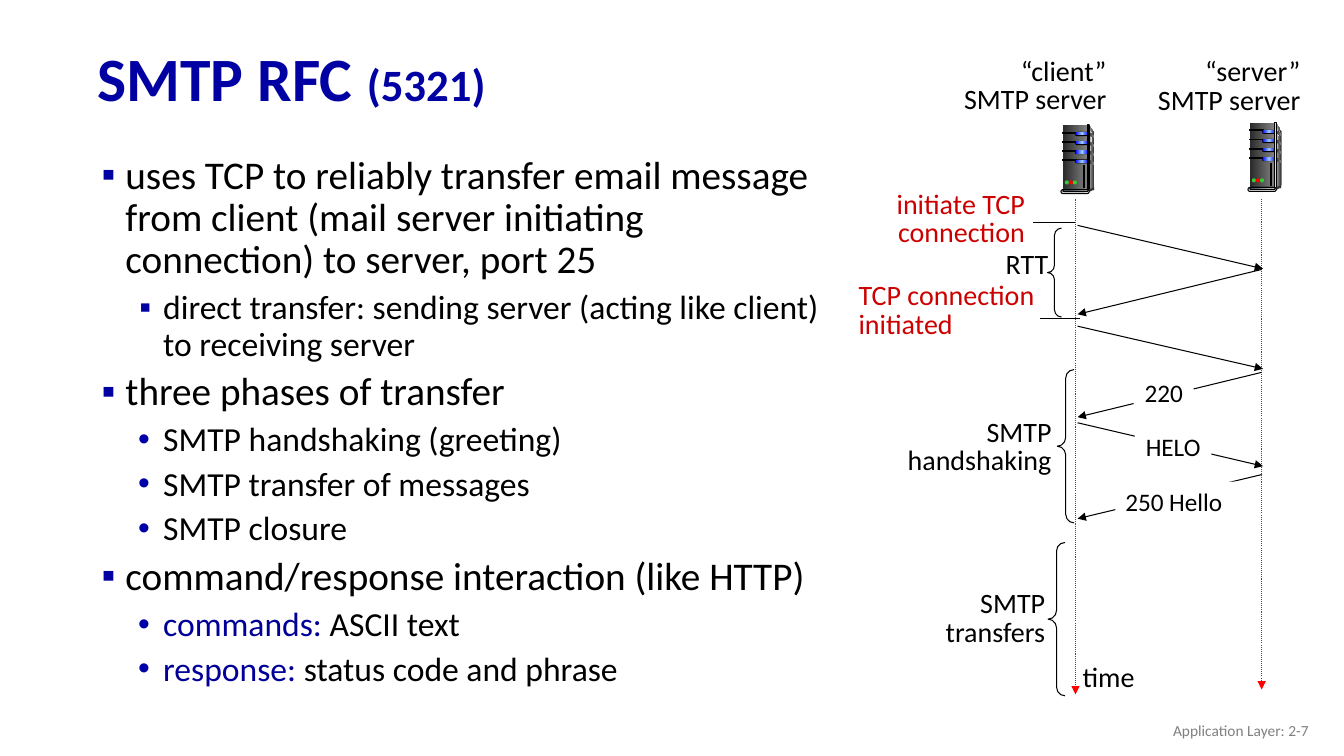
from lxml import etree
from pptx import Presentation
from pptx.dml.color import RGBColor
from pptx.enum.dml import MSO_LINE
from pptx.enum.shapes import MSO_CONNECTOR, MSO_SHAPE
from pptx.enum.text import MSO_ANCHOR, PP_ALIGN
from pptx.oxml.ns import qn
from pptx.util import Pt

RECT, ROUND = MSO_SHAPE.RECTANGLE, MSO_SHAPE.ROUNDED_RECTANGLE
OVAL, BRACE = MSO_SHAPE.OVAL, MSO_SHAPE.LEFT_BRACE
LEFT, MID, RIGHT = PP_ALIGN.LEFT, PP_ALIGN.CENTER, PP_ALIGN.RIGHT
TOP, CENTER = MSO_ANCHOR.TOP, MSO_ANCHOR.MIDDLE
DOTS, STRAIGHT = MSO_LINE.ROUND_DOT, MSO_CONNECTOR.STRAIGHT
FONT = "Calibri"
BLACK, WHITE, RED, NAVY = "000000", "FFFFFF", "CC0000", "0000A3"
DARK, STEEL = "333333", ("292929", "808080")
GLOW = ("0000FF", "99CCFF", "0000FF")


def tint(code):
    """Turn a hex string into a colour."""
    return RGBColor.from_string(code)


def paint(item, fill=None, line=None):
    """Give a shape a plain or graded fill and an optional thin outline."""
    item.shadow.inherit = False
    if fill is None:
        item.fill.background()
    elif isinstance(fill, str):
        item.fill.solid()
        item.fill.fore_color.rgb = tint(fill)
    else:
        item.fill.gradient()
        item.fill.gradient_angle = 0
        stops = item._element.spPr.find(".//" + qn("a:gsLst"))
        stops.clear()
        for i, code in enumerate(fill):
            stop = etree.SubElement(stops, qn("a:gs"), pos=str(100000 * i // (len(fill) - 1)))
            etree.SubElement(stop, qn("a:srgbClr"), val=code)
    if line:
        item.line.color.rgb = tint(line)
        item.line.width = Pt(0.75)
    else:
        item.line.fill.background()


def block(parts, kind, x, y, w, h, fill=None, line=None, adj=None):
    """Add a preset shape."""
    item = parts.add_shape(kind, Pt(x), Pt(y), Pt(w), Pt(h))
    paint(item, fill, line)
    if adj is not None:
        item.adjustments[0] = adj
    return item


def shape(parts, x, y, spots, fill):
    """Add a closed outline whose points are relative to x and y."""
    spots = [(Pt(x + a), Pt(y + b)) for a, b in spots]
    pen = parts.build_freeform(*spots[0])
    pen.add_line_segments(spots[1:], close=True)
    paint(pen.convert_to_shape(), fill)


def line(parts, x1, y1, x2, y2, color=BLACK, head=False, dash=None):
    """Add a thin line, with an arrowhead at its end if asked."""
    item = parts.add_connector(STRAIGHT, Pt(x1), Pt(y1), Pt(x2), Pt(y2))
    item.line.color.rgb = tint(color)
    item.line.width = Pt(0.75)
    if dash:
        item.line.dash_style = dash
    if head:
        etree.SubElement(item.line._get_or_add_ln(), qn("a:tailEnd"), type="triangle")
    etree.SubElement(item._element.spPr, qn("a:effectLst"))


def write(para, text, size, color=BLACK, bold=False):
    """Add one run to a paragraph."""
    run = para.add_run()
    run.text = text
    run.font.name, run.font.size, run.font.bold = FONT, Pt(size), bold
    run.font.color.rgb = tint(color)


def frame(parts, x, y, w, h, wrap=True, anchor=TOP):
    """Add an empty text box and return its text frame."""
    text = parts.add_textbox(Pt(x), Pt(y), Pt(w), Pt(h)).text_frame
    text.word_wrap, text.vertical_anchor = wrap, anchor
    return text


def note(parts, x, y, w, h, rows, align=LEFT, color=BLACK, wrap=False):
    """Add a label of one or more tight rows."""
    text = frame(parts, x, y, w, h, wrap)
    for i, row in enumerate(rows):
        para = text.add_paragraph() if i else text.paragraphs[0]
        para.alignment, para.line_spacing = align, 0.85
        write(para, row, 20, color)


def title(parts, x, y, w, h):
    """Write the slide title."""
    para = frame(parts, x, y, w, h, anchor=CENTER).paragraphs[0]
    para.line_spacing = 0.9
    write(para, "SMTP RFC ", 44, NAVY, True)
    write(para, "(5321)", 32, NAVY, True)


def points(parts, x, y, w, h):
    """Write the bulleted list."""
    rows = [
        (0, "▪", "", "uses TCP to reliably transfer email message from client "
                     "(mail server initiating connection) to server, port 25"),
        (1, "▪", "", "direct transfer: sending server (acting like client) to receiving server"),
        (0, "▪", "", "three phases of transfer"),
        (1, "•", "", "SMTP handshaking (greeting)"),
        (1, "•", "", "SMTP transfer of messages"),
        (1, "•", "", "SMTP closure"),
        (0, "▪", "", "command/response interaction (like HTTP)"),
        (1, "•", "commands:", " ASCII text"),
        (1, "•", "response:", " status code and phrase"),
    ]
    text = frame(parts, x, y, w, h)
    for i, (level, mark, lead, rest) in enumerate(rows):
        para = text.add_paragraph() if i else text.paragraphs[0]
        para.level, para.line_spacing, para.space_before = level, 0.9, Pt(6)
        props = para._p.get_or_add_pPr()
        props.set("marL", str(Pt(28 + 27 * level)))
        props.set("indent", str(-Pt(17 if mark == "▪" else 18)))
        color = etree.SubElement(props, qn("a:buClr"))
        etree.SubElement(color, qn("a:srgbClr"), val=NAVY if mark == "▪" else "0000A8")
        etree.SubElement(props, qn("a:buFont"), typeface="Arial")
        etree.SubElement(props, qn("a:buChar"), char=mark)
        size = 24 if level else 28
        if lead:
            write(para, lead, size, "000099")
        write(para, rest, size)


def tower(slide, x, y):
    """Draw a server tower with its front panel at x and y."""
    parts = slide.shapes.add_group_shape().shapes
    shape(parts, x, y, [(18.7, 0), (22.3, 5.8), (22.3, 44.6), (17.3, 46.8)], ("DDDDDD", DARK))
    block(parts, RECT, x, y, 17.3, 46.8, STEEL)
    shape(parts, x, y, [(18.7, 2.9), (20.9, 6.5), (18.9, 25), (18.7, 45.4)], ("808080", "F8F8F8"))
    for i in range(4):
        top = y + 5 + 6.5 * i
        shape(parts, x, top, [(18, 0), (22.3, 2.5), (22.3, 4.2), (18, 1.7)], STEEL)
        block(parts, RECT, x, top, 10, 0.7, BLACK, BLACK)
        block(parts, ROUND, x + 8.6, top, 10, 2.9, BLACK, adj=0.5)
        block(parts, ROUND, x + 9, top + 0.2, 9.4, 2.2, GLOW, adj=0.5)
    block(parts, RECT, x + 17.3, y, 1.4, 46.8, (DARK, "DDDDDD", DARK), BLACK)
    block(parts, OVAL, x + 21.6, y + 44.6, 0.7, 2.2, DARK)
    shape(parts, x, y, [(18, 46.1), (18, 48.2), (22.3, 46.1), (22.3, 44.6)], DARK)
    block(parts, ROUND, x - 1.4, y + 46.1, 20.2, 2.9, "DDDDDD", BLACK, 0.5)
    block(parts, ROUND, x, y + 46.1, 18, 1.4, ("44546A", "E7E6E6"), BLACK, 0.5)
    for i, color in enumerate(("33CC33", "FF0000", "33CC33")):
        block(parts, OVAL, x + 1.4 + 2.9 * i, y + 39.6, 2.9, 2.9, color)
    block(parts, RECT, x + 14.4, y + 28.8, 1.4, 15.8, STEEL[0], BLACK)


def flow(parts, x, y):
    """Draw the message exchange, with the client time line starting at x and y."""
    line(parts, x, y, x, y + 353.5, "FF0000", True, DOTS)
    line(parts, x + 133, y - 0.5, x + 133, y + 350, "FF0000", True, DOTS)
    trips = [(18.5, 49.5), (50, 82), (90.5, 121), (123.5, 155.5), (159.5, 190.5), (196.5, 228)]
    for (start, end), east in zip(trips, (1, 0, 1, 0, 1, 0)):
        a, b = (1.5, 134) if east else (133, 1.5)
        line(parts, x + a, y + start, x + b, y + end, head=True)
    for left, right, top in ((-30, 0, 16.5), (-25, 3, 85)):
        line(parts, x + left, y + top, x + right, y + top)
    for left, top, w, text, align in (
        (41.5, 123.5, 43, "220", MID),
        (28.5, 201.5, 88.5, "250 Hello", LEFT),
        (42.5, 162, 54.5, "HELO", MID),
    ):
        box = block(parts, RECT, x + left, y + top, w, 29, WHITE).text_frame
        box.word_wrap, box.vertical_anchor = True, TOP
        box.paragraphs[0].alignment = align
        write(box.paragraphs[0], text, 18)
    for left, top, w, h in ((-20, 20.5, 10, 63.5), (-13, 121.5, 12, 109.5), (-19.5, 245, 12, 109.5)):
        block(parts, BRACE, x + left, y + top, w, h, line=BLACK, adj=0.52)
    note(parts, x - 136, y - 9.5, 107, 49, ["initiate TCP", "connection"], RIGHT, RED)
    note(parts, x - 57, y + 34, 45, 28, ["RTT"])
    note(parts, x - 162, y + 56, 173, 49, ["TCP connection", "initiated"], LEFT, RED, True)
    note(parts, x - 141, y + 153.5, 131, 49, ["SMTP handshaking"], RIGHT, wrap=True)
    note(parts, x - 145.5, y + 276, 131, 49, ["SMTP transfers"], RIGHT, wrap=True)
    note(parts, x - 2, y + 328.5, 52.5, 28, ["time"])


def foot(parts, x, y, w, h):
    """Write the page label."""
    para = frame(parts, x, y, w, h, anchor=CENTER).paragraphs[0]
    para.alignment = RIGHT
    write(para, "Application Layer: 2-7", 11, "808080")


def main():
    """Build and save the slide."""
    deck = Presentation()
    deck.slide_width, deck.slide_height = Pt(960), Pt(540)
    slide = deck.slides.add_slide(deck.slide_layouts[6])
    parts = slide.shapes
    title(parts, 62.5, 23, 828, 70.5)
    points(parts, 54.5, 107.5, 542, 366)
    flow(parts, 768.2, 142.5)
    tower(slide, 759.2, 89.3)
    tower(slide, 892.8, 87.8)
    note(parts, 676, 38, 121.5, 49, ["“client”", "SMTP server"], RIGHT)
    note(parts, 814.5, 38.5, 121.5, 49, ["“server”", "SMTP server"], RIGHT)
    foot(parts, 726, 507.5, 216, 29)
    deck.save("out.pptx")


if __name__ == "__main__":
    main()
